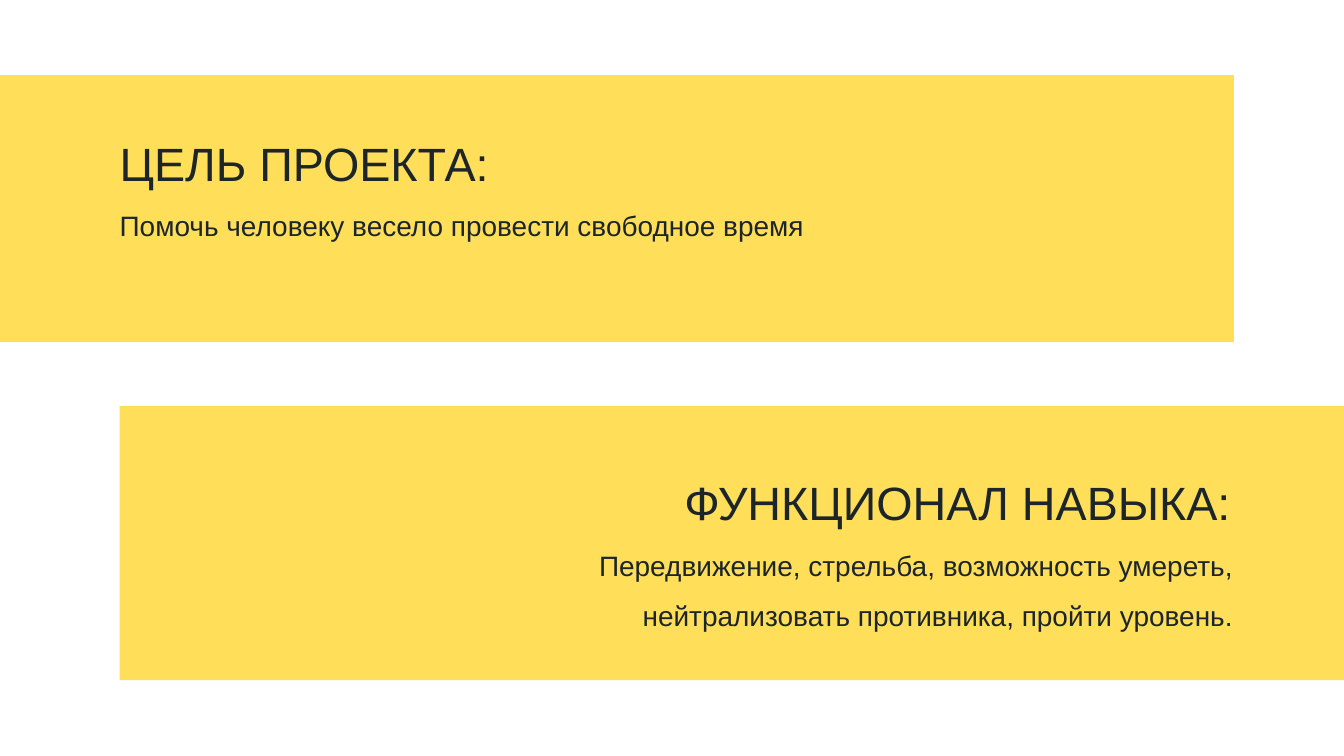
"""Builds a slide with two offset yellow bands: project goal and skill features."""
from typing import NamedTuple

from pptx import Presentation
from pptx.dml.color import RGBColor
from pptx.enum.shapes import MSO_SHAPE as Shape
from pptx.enum.text import MSO_ANCHOR as Anchor, MSO_AUTO_SIZE as AutoSize, PP_ALIGN as Align
from pptx.util import Inches, Pt

YELLOW = "FFDE59"
DARK = "1C2529"


class Box(NamedTuple):
    left: float
    top: float
    width: float
    height: float


class TextStyle(NamedTuple):
    size: int
    line_spacing: float


class Section(NamedTuple):
    band: Box
    align: Align
    heading: str
    heading_box: Box
    body: str
    body_box: Box


HEADING = TextStyle(50, 1.4)
BODY = TextStyle(30, 1.5)

SECTIONS = [
    Section(
        Box(-0.53, 1.12, 18.89, 3.97), Align.LEFT,
        "ЦЕЛЬ ПРОЕКТА:", Box(1.78, 1.67, 10.45, 1.18),
        "Помочь человеку весело провести свободное время",
        Box(1.78, 2.86, 12.22, 0.76),
    ),
    Section(
        Box(1.78, 6.04, 19.25, 4.08), Align.RIGHT,
        "ФУНКЦИОНАЛ НАВЫКА:", Box(5.9, 6.72, 12.42, 0.84),
        "Передвижение, стрельба, возможность умереть, "
        "нейтрализовать противника, пройти уровень.",
        Box(5.93, 7.91, 12.42, 1.51),
    ),
]


def color(value: str) -> RGBColor:
    return RGBColor.from_string(value)


def apply(target, settings: dict) -> None:
    for name, value in settings.items():
        setattr(target, name, value)


def add_band(slide, box: Box) -> None:
    shape = slide.shapes.add_shape(Shape.RECTANGLE, *map(Inches, box))
    shape.shadow.inherit = False
    shape.fill.solid()
    shape.fill.fore_color.rgb = color(YELLOW)
    shape.line.fill.background()


def add_text(slide, box: Box, text: str, style: TextStyle, align: Align) -> None:
    frame = slide.shapes.add_textbox(*map(Inches, box)).text_frame
    apply(frame, {
        "margin_left": 0, "margin_top": 0, "margin_right": 0, "margin_bottom": 0,
        "word_wrap": True, "auto_size": AutoSize.SHAPE_TO_FIT_TEXT,
        "vertical_anchor": Anchor.TOP,
    })
    paragraph = frame.paragraphs[0]
    apply(paragraph, {"alignment": align, "line_spacing": style.line_spacing})
    run = paragraph.add_run()
    run.text = text
    apply(run.font, {"name": "Arial", "size": Pt(style.size)})
    run.font.color.rgb = color(DARK)


def main() -> None:
    presentation = Presentation()
    apply(presentation, {"slide_width": Inches(20), "slide_height": Inches(11.25)})
    slide = presentation.slides.add_slide(presentation.slide_layouts[6])
    for section in SECTIONS:
        add_band(slide, section.band)
    for section in SECTIONS:
        add_text(slide, section.heading_box, section.heading, HEADING, section.align)
        add_text(slide, section.body_box, section.body, BODY, section.align)
    presentation.save("out.pptx")


if __name__ == "__main__":
    main()
